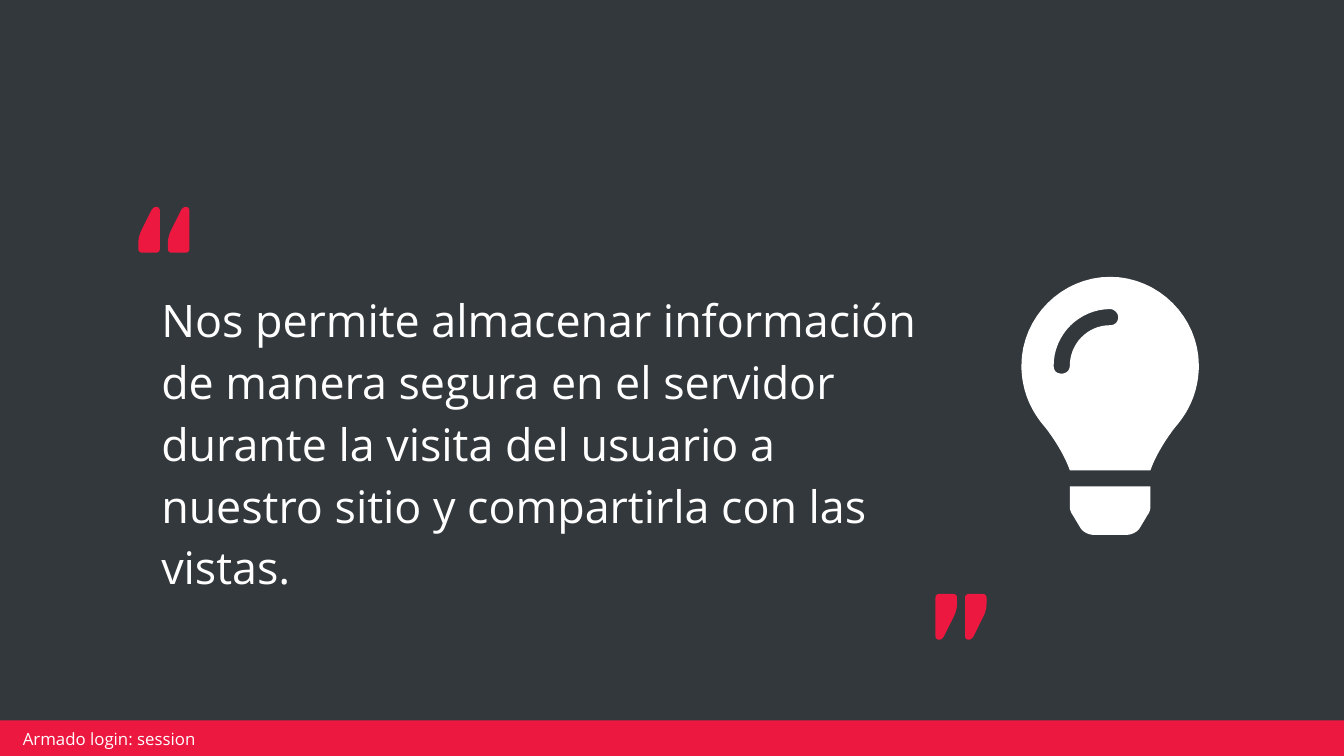
from pptx import Presentation
from pptx.dml.color import RGBColor
from pptx.enum.shapes import MSO_SHAPE
from pptx.enum.text import MSO_ANCHOR, MSO_AUTO_SIZE, PP_ALIGN
from pptx.util import Inches, Pt

RECTANGLE = MSO_SHAPE.RECTANGLE
MIDDLE = MSO_ANCHOR.MIDDLE
NO_AUTOFIT = MSO_AUTO_SIZE.NONE
LEFT = PP_ALIGN.LEFT

FONT = "Open Sans"
DARK, RED, WHITE = "33383C", "EC183F", "FFFFFF"
TITLE_ONLY = 5
CURVE_STEPS = 16

# Contours are in inches from the top left of their drawing. After the start
# point, a segment of one point is a line and one of three a Bézier curve.
BULB_WIDTH = 1.32
GLASS_HALF = [(0.36, 1.44),
              [(0.32, 1.32), (0.22, 1.17), (0.16, 1.1)],
              [(0.06, 0.98), (0, 0.83), (0, 0.66)],
              [(0, 0.3), (0.3, 0), (0.66, 0)]]
BASE_HALF = [(0.36, 1.56),
             [(0.36, 1.71)],
             [(0.36, 1.73), (0.37, 1.76), (0.38, 1.77)],
             [(0.44, 1.87)],
             [(0.46, 1.9), (0.5, 1.92), (0.54, 1.92)]]
GLINT = [(0.66, 0.36),
         [(0.49, 0.36), (0.36, 0.5), (0.36, 0.66)],
         [(0.36, 0.7), (0.33, 0.72), (0.3, 0.72)],
         [(0.26, 0.72), (0.24, 0.7), (0.24, 0.66)],
         [(0.24, 0.43), (0.43, 0.24), (0.66, 0.24)],
         [(0.69, 0.24), (0.72, 0.27), (0.72, 0.3)],
         [(0.72, 0.34), (0.69, 0.36), (0.66, 0.36)]]
QUOTE_STROKE = [(0.13, 0),
                [(0.12, 0), (0.11, 0.01), (0.1, 0.02)],
                [(0.03, 0.16)],
                [(0.01, 0.2), (0, 0.23), (0, 0.27)],
                [(0, 0.31)],
                [(0, 0.33), (0.01, 0.34), (0.03, 0.34)],
                [(0.13, 0.34)],
                [(0.15, 0.34), (0.16, 0.33), (0.16, 0.31)],
                [(0.16, 0.03)],
                [(0.16, 0.01), (0.15, 0), (0.13, 0)]]
STROKE_PITCH = 0.22


def rgb(hex_color):
    return RGBColor.from_string(hex_color)


def paint(shape, color):
    shape.fill.solid()
    shape.fill.fore_color.rgb = rgb(color)
    shape.line.fill.background()
    shape.shadow.inherit = False


def write(shape, text, size, color=WHITE, line_spacing=1.0, space_before=0,
          margins=(0.1, 0.05)):
    frame = shape.text_frame
    frame.word_wrap = True
    frame.auto_size = NO_AUTOFIT
    frame.vertical_anchor = MIDDLE
    frame.margin_left = frame.margin_right = Inches(margins[0])
    frame.margin_top = frame.margin_bottom = Inches(margins[1])
    paragraph = frame.paragraphs[0]
    paragraph.alignment = LEFT
    paragraph.line_spacing = line_spacing
    paragraph.space_before = Pt(space_before)
    run = paragraph.add_run()
    run.text = text
    run.font.name = FONT
    run.font.size = Pt(size)
    run.font.color.rgb = rgb(color)


def flatten(contour):
    """Turn a contour of lines and curves into a list of points."""
    points = [contour[0]]
    for segment in contour[1:]:
        if len(segment) == 1:
            points += segment
            continue
        controls = [points[-1], *segment]
        for step in range(1, CURVE_STEPS + 1):
            t = step / CURVE_STEPS
            weights = ((1 - t) ** 3, 3 * t * (1 - t) ** 2, 3 * t ** 2 * (1 - t), t ** 3)
            points.append(tuple(sum(w * c[axis] for w, c in zip(weights, controls))
                                for axis in (0, 1)))
    return points


def symmetric(half, width):
    """Complete a left half with its mirror image."""
    return half + [(width - x, y) for x, y in reversed(half)]


def draw_outline(shapes, left, top, contours, color):
    scaled = [[(Inches(x), Inches(y)) for x, y in points] for points in contours]
    builder = shapes.build_freeform(*scaled[0][0])
    for index, points in enumerate(scaled):
        if index:
            builder.move_to(*points[0])
        builder.add_line_segments(points[1:], close=True)
    outline = builder.convert_to_shape(Inches(left), Inches(top))
    paint(outline, color)
    return outline


def add_footer(slide, left, top, width, height, topic):
    band = slide.shapes.add_shape(RECTANGLE, Inches(left), Inches(top),
                                  Inches(width), Inches(height))
    paint(band, RED)
    label = slide.shapes.add_textbox(Inches(left + 0.14), Inches(top + 0.06),
                                     Inches(2.39), Inches(0.15))
    write(label, topic, 9, margins=(0.05, 0.02))


def add_quote_mark(slide, left, top, rotation=0):
    mark = slide.shapes.add_group_shape()
    for index in range(2):
        stroke = draw_outline(mark.shapes, left + index * STROKE_PITCH, top,
                              [flatten(QUOTE_STROKE)], RED)
        stroke.rotation = rotation


def add_quote(slide, left, top, width, height, quote):
    body = slide.shapes.title
    body.left, body.top = Inches(left), Inches(top)
    body.width, body.height = Inches(width), Inches(height)
    write(body, quote, 24, line_spacing=1.15, space_before=6)
    add_quote_mark(slide, left - 0.07, top - 0.62)
    add_quote_mark(slide, left + width - 0.19, top + height + 0.04, rotation=180)


def add_bulb(slide, left, top):
    base, glass = (symmetric(flatten(half), BULB_WIDTH)
                   for half in (BASE_HALF, GLASS_HALF))
    draw_outline(slide.shapes, left, top, [base, glass, flatten(GLINT)], WHITE)


def main():
    presentation = Presentation()
    presentation.slide_width = Inches(10)
    presentation.slide_height = presentation.slide_width * 9 // 16
    slide = presentation.slides.add_slide(presentation.slide_layouts[TITLE_ONLY])
    slide.background.fill.solid()
    slide.background.fill.fore_color.rgb = rgb(DARK)

    add_footer(slide, -0.02, 5.36, 10.03, 0.27, "Armado login: session")
    add_quote(slide, 1.1, 2.16, 6.05, 2.22,
              "Nos permite almacenar información de manera segura en el servidor "
              "durante la visita del usuario a nuestro sitio y compartirla con las "
              "vistas.")
    add_bulb(slide, 7.6, 2.06)
    presentation.save("out.pptx")


if __name__ == "__main__":
    main()
